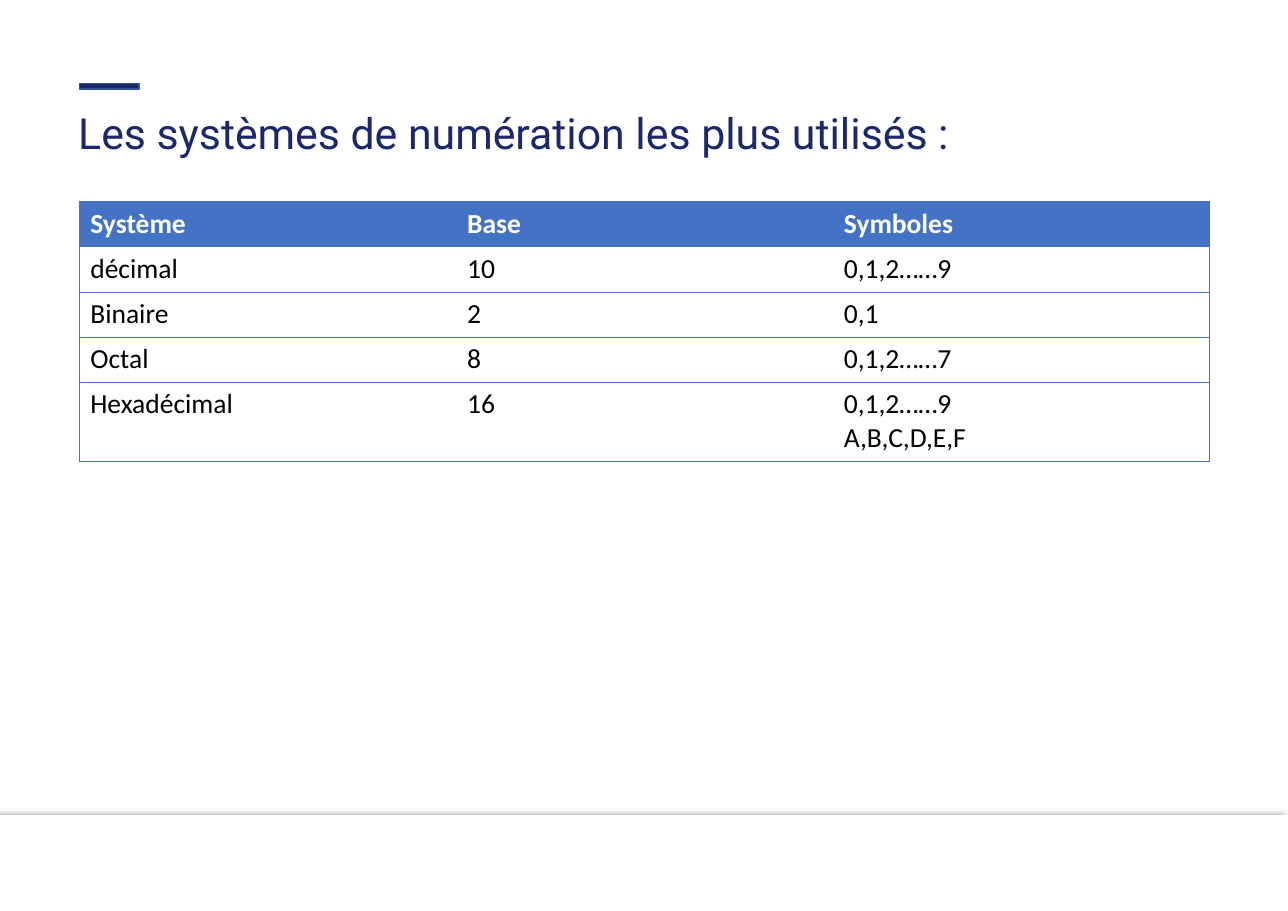
from lxml import etree
from pptx import Presentation
from pptx.dml.color import RGBColor
from pptx.enum import shapes, text
from pptx.oxml.ns import qn
from pptx.util import Inches, Pt

# Content
TITLE = "Les systèmes de numération les plus utilisés :"
ROWS = [
    ("Système", "Base", "Symboles"),
    ("décimal", "10", "0,1,2……9"),
    ("Binaire", "2", "0,1"),
    ("Octal", "8", "0,1,2……7"),
    ("Hexadécimal", "16", "0,1,2……9\nA,B,C,D,E,F"),
]

# Layout and colours
WIDTH, HEIGHT = 11.69, 8.27
LEFT, TABLE_TOP, TABLE_WIDTH = 0.72, 1.83, 10.26
ROW_HEIGHTS = [0.41] * 4 + [0.72]
FOOTER_TOP = 7.4
WHITE = RGBColor(0xFF, 0xFF, 0xFF)
BLACK = RGBColor(0, 0, 0)
NAVY = RGBColor(0x1B, 0x29, 0x6A)
ACCENT_EDGE = RGBColor(0x32, 0x54, 0x91)
BLUE = RGBColor(0x44, 0x72, 0xC4)


def write(tf, content, font="Calibri", size=18, color=BLACK, bold=False, spacing=None):
    for i, line in enumerate(content.split("\n")):
        p = tf.paragraphs[0] if i == 0 else tf.add_paragraph()
        p.alignment = text.PP_ALIGN.LEFT
        p.line_spacing = spacing
        r = p.add_run()
        r.text = line
        r.font.name, r.font.size, r.font.bold = font, Pt(size), bold
        r.font.color.rgb = color


def add_rect(s, left, top, width, height, color):
    sp = s.shapes.add_shape(shapes.MSO_SHAPE.RECTANGLE, Inches(left), Inches(top),
                            Inches(width), Inches(height))
    sp.shadow.inherit = False
    sp.fill.solid()
    sp.fill.fore_color.rgb = color
    sp.line.fill.background()
    return sp


def add_shadow(sp):
    effects = sp._element.spPr.find(qn("a:effectLst"))
    shadow = etree.SubElement(effects, qn("a:outerShdw"), blurRad=str(Pt(4)),
                              dist=str(Pt(3)), dir="10800000", rotWithShape="0")
    color = etree.SubElement(shadow, qn("a:srgbClr"), val="000000")
    etree.SubElement(color, qn("a:alpha"), val="40000")


def set_borders(cell, visible):
    tc_pr = cell._tc.get_or_add_tcPr()
    for side in "LRTB":
        ln = etree.SubElement(tc_pr, qn(f"a:ln{side}"), w=str(Pt(0.5)))
        if side in visible:
            fill = etree.SubElement(ln, qn("a:solidFill"))
            etree.SubElement(fill, qn("a:srgbClr"), val=str(BLUE))
        else:
            etree.SubElement(ln, qn("a:noFill"))


prs = Presentation()
prs.slide_width, prs.slide_height = Inches(WIDTH), Inches(HEIGHT)
s = prs.slides.add_slide(prs.slide_layouts[5])

# Footer band and title accent
add_shadow(add_rect(s, 0, FOOTER_TOP, WIDTH, HEIGHT - FOOTER_TOP, WHITE))
accent = add_rect(s, LEFT, 0.76, 0.54, 0.05, NAVY)
accent.line.color.rgb = ACCENT_EDGE
accent.line.width = Pt(1)

# Title
title = s.shapes.title
title.left, title.top = Inches(0.61), Inches(0.97)
title.width, title.height = Inches(10.36), Inches(0.5)
tf = title.text_frame
tf.word_wrap = True
tf.auto_size = text.MSO_AUTO_SIZE.NONE
tf.vertical_anchor = text.MSO_ANCHOR.TOP
write(tf, TITLE, font="Roboto", size=28, color=NAVY, spacing=0.9)

# Table of numeral systems
columns = len(ROWS[0])
table = s.shapes.add_table(len(ROWS), columns, Inches(LEFT), Inches(TABLE_TOP),
                           Inches(TABLE_WIDTH), Inches(sum(ROW_HEIGHTS))).table
table.horz_banding = False
for column in table.columns:
    column.width = Inches(TABLE_WIDTH / columns)
for i, (row, height) in enumerate(zip(ROWS, ROW_HEIGHTS)):
    table.rows[i].height = Inches(height)
    header = i == 0
    for j, content in enumerate(row):
        cell = table.cell(i, j)
        outer = ("L" if j == 0 else "") + ("R" if j == columns - 1 else "")
        set_borders(cell, "TB" + outer)
        if header:
            cell.fill.solid()
            cell.fill.fore_color.rgb = BLUE
        else:
            cell.fill.background()
        write(cell.text_frame, content, color=WHITE if header else BLACK, bold=header)

prs.save("out.pptx")
